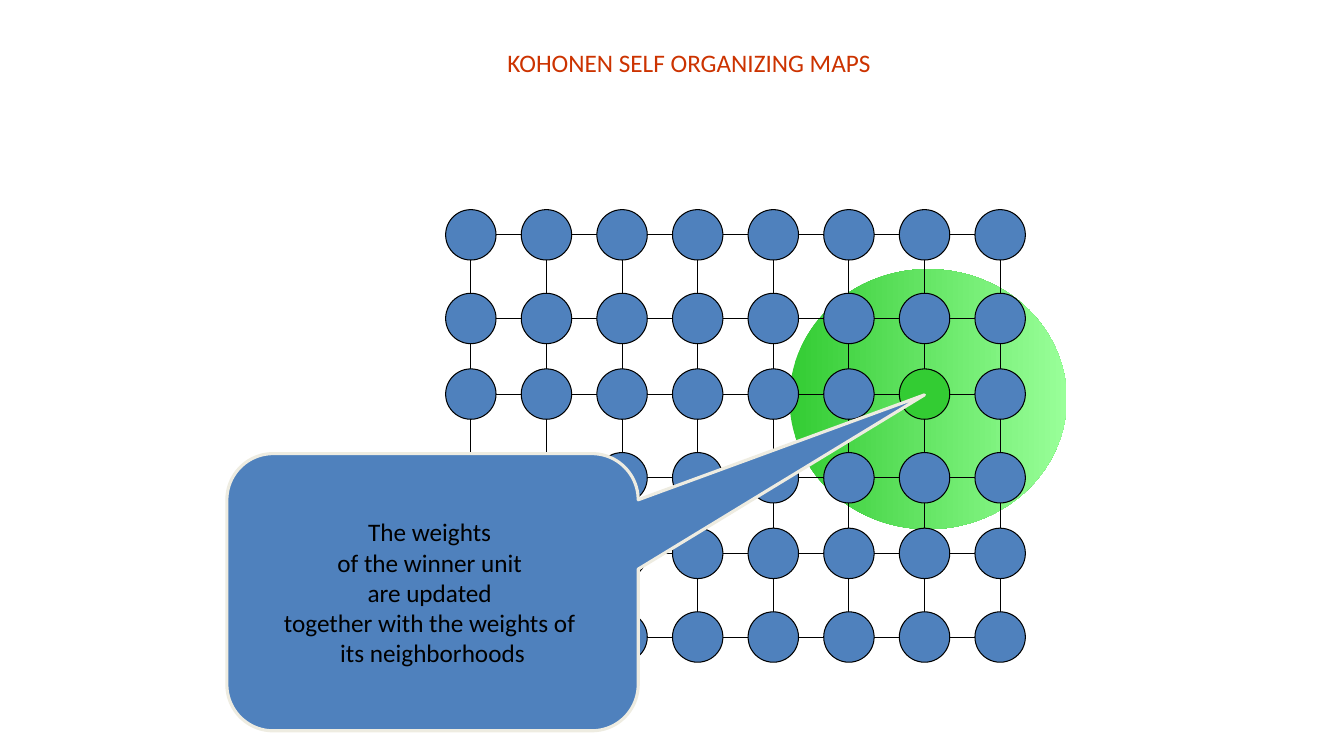
from pptx import Presentation
from pptx.dml.color import RGBColor
from pptx.enum import shapes, text
from pptx.oxml import xmlchemy
from pptx.util import Inches, Pt

FONT = "Calibri"
BLUE, GREEN, LIGHT_GREEN = "4F81BD", "33CC33", "99FF99"
BLACK, CREAM, RED = "000000", "EEECE1", "CC3300"

COLUMNS, ROWS = 8, 6
WINNER = (6, 2)
NODE = 0.5
COLUMN_PITCH = 0.75
ROW_PAIR_PITCH, ROW_PITCH = 1.58, 0.83

CALLOUT_LINES = [
    "The weights ",
    "of the winner unit ",
    "are updated ",
    "together with the weights of ",
    "its neighborhoods",
]


def colour(value):
    return RGBColor.from_string(value)


def add_preset(page, preset, box):
    shape = page.shapes.add_shape(preset, *map(Inches, box))
    shape.shadow.inherit = False
    return shape


def paint(shape, fill, line, width):
    shape.fill.solid()
    shape.fill.fore_color.rgb = colour(fill)
    shape.line.color.rgb = colour(line)
    shape.line.width = Pt(width)


def write_lines(frame, lines, ink):
    """Fill a text frame with centred paragraphs."""
    for index, line in enumerate(lines):
        para = frame.add_paragraph() if index else frame.paragraphs[0]
        para.alignment = text.PP_ALIGN.CENTER
        span = para.add_run()
        span.text = line
        span.font.name = FONT
        span.font.size = Pt(18)
        span.font.color.rgb = colour(ink)


def add_link(page, *ends):
    link = page.shapes.add_connector(shapes.MSO_CONNECTOR.STRAIGHT, *map(Inches, ends))
    link.line.color.rgb = colour(BLACK)
    link.line.width = Pt(0.75)
    properties = link._element.spPr
    properties.append(xmlchemy.OxmlElement("a:effectLst"))


def add_neighborhood(page, box):
    area = add_preset(page, shapes.MSO_SHAPE.OVAL, box)
    area.fill.gradient()
    area.fill.gradient_angle = 0
    for stop, shade in zip(area.fill.gradient_stops, (GREEN, LIGHT_GREEN)):
        stop.color.rgb = colour(shade)
    area.line.fill.background()


def add_map(page, left, top):
    """Draw the grid of units; rows come in pairs set slightly apart."""
    lefts = [left + column * COLUMN_PITCH for column in range(COLUMNS)]
    tops = [top + row // 2 * ROW_PAIR_PITCH + row % 2 * ROW_PITCH for row in range(ROWS)]
    for row, y in enumerate(tops):
        for column, x in enumerate(lefts):
            unit = add_preset(page, shapes.MSO_SHAPE.OVAL, (x, y, NODE, NODE))
            paint(unit, GREEN if (column, row) == WINNER else BLUE, BLACK, 0.75)
            middle_x, middle_y = x + NODE / 2, y + NODE / 2
            if column < COLUMNS - 1:
                add_link(page, x + NODE, middle_y, lefts[column + 1], middle_y)
            if row < ROWS - 1:
                add_link(page, middle_x, tops[row + 1], middle_x, y + NODE)


def add_callout(page, box):
    callout = add_preset(page, shapes.MSO_SHAPE.ROUNDED_RECTANGULAR_CALLOUT, box)
    for index, value in enumerate((1.196, -0.712, 0.167)):
        callout.adjustments[index] = value
    paint(callout, BLUE, CREAM, 2.25)
    frame = callout.text_frame
    frame.word_wrap = False
    frame.vertical_anchor = text.MSO_ANCHOR.MIDDLE
    write_lines(frame, CALLOUT_LINES, BLACK)


def add_title(page, box):
    frame = page.shapes.add_textbox(*map(Inches, box)).text_frame
    frame.word_wrap = True
    write_lines(frame, ["KOHONEN SELF ORGANIZING MAPS"], RED)


def main():
    deck = Presentation()
    deck.slide_width, deck.slide_height = Inches(13.33), Inches(7.5)
    page = deck.slides.add_slide(deck.slide_layouts[6])
    add_neighborhood(page, (7.83, 2.67, 2.75, 2.58))
    add_map(page, 4.42, 2.08)
    add_callout(page, (2.25, 4.5, 4.08, 2.75))
    add_title(page, (2.92, 0.42, 7.83, 0.4))
    deck.save("out.pptx")


if __name__ == "__main__":
    main()
